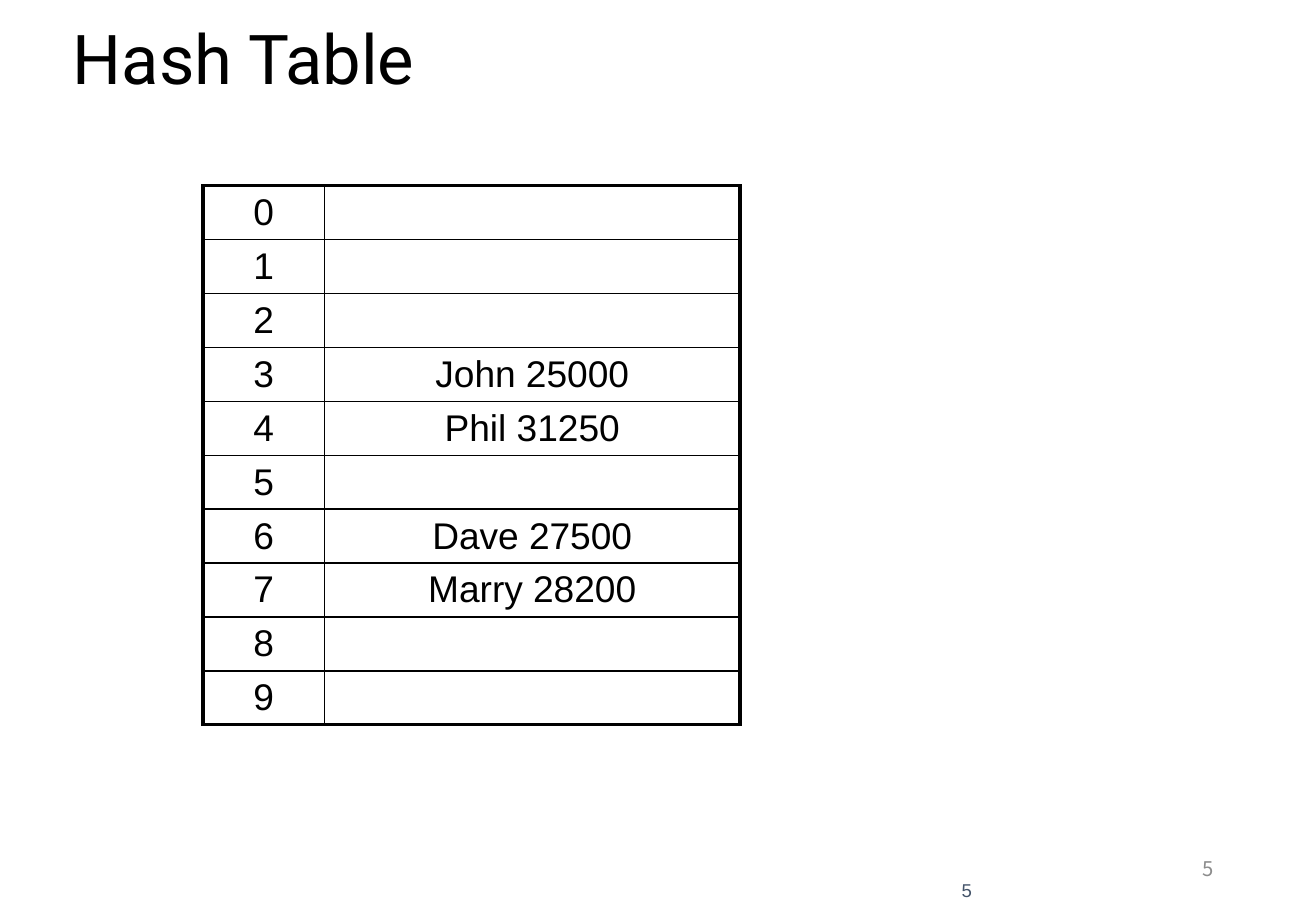
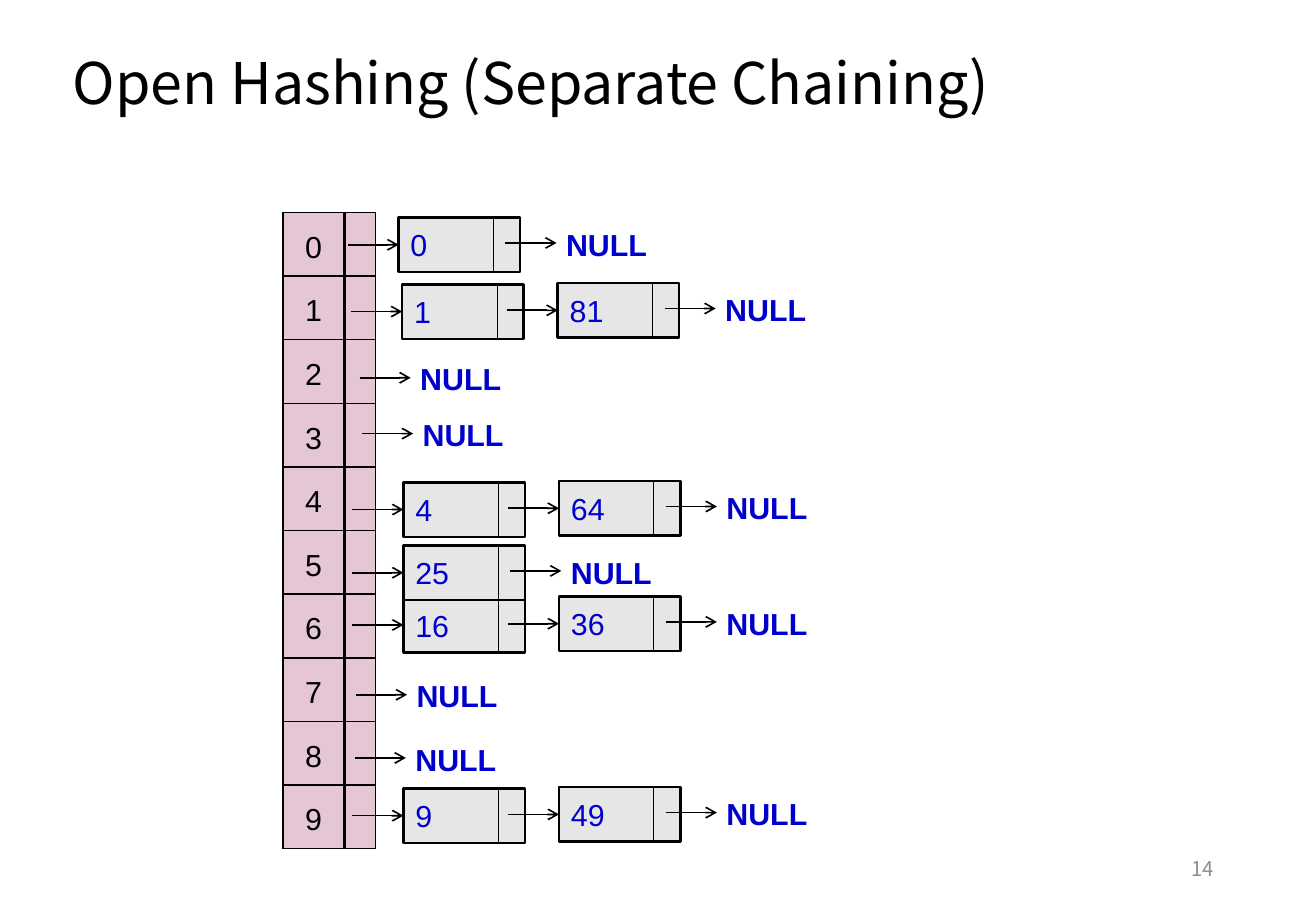
from lxml.etree import SubElement
from pptx import Presentation
from pptx.dml.color import RGBColor
from pptx.enum.shapes import MSO_CONNECTOR, MSO_SHAPE
from pptx.enum.text import MSO_ANCHOR, MSO_AUTO_SIZE, PP_ALIGN
from pptx.oxml import parse_xml
from pptx.oxml.ns import nsdecls, qn
from pptx.util import Inches, Pt

HUES = {
    "ink": "000000", "page": "FFFFFF", "gray": "8C8C8C", "slate": "44546A",
    "pink": "E5C6D5", "node": "E7E6E6", "blue": "0000CC",
}
SANS, NOTO, ROBO = "Arial", "Noto Sans CJK SC", "Roboto"

HEADS = [
    {"text": "Hash Table", "num": "5", "box": (0.5, 0.19, 7.92, 0.68),
     "font": ROBO, "size": 40.7, "lead": 0.8},
    {"text": "Open Hashing (Separate Chaining)", "num": "14",
     "box": (0.5, 0.08, 7.92, 1.25), "font": NOTO, "size": 34, "lead": 0.9},
]
STAFF = {3: "John 25000", 4: "Phil 31250", 6: "Dave 27500", 7: "Marry 28200"}
SLOTS = range(10)
CHAINS = [
    (3.28, 1.79, ["0"]),
    (3.31, 2.34, ["1", "81"]),
    (3.36, 2.92, []),
    (3.38, 3.38, []),
    (3.32, 3.97, ["4", "64"]),
    (3.32, 4.92, ["16", "36"]),
    (3.32, 4.49, ["25"]),
    (3.33, 5.53, []),
    (3.32, 6.05, []),
    (3.32, 6.49, ["9", "49"]),
]
WIDE, HIGH, STEP, REACH = 1, 0.45, 1.28, 0.42


def hue(name):
    return RGBColor.from_string(HUES[name])


def place(box):
    return [Inches(n) for n in box]


def style(para, size, name, tint, bold=False):
    font = para.font
    font.size, font.name, font.bold = Pt(size), name, bold
    font.color.rgb = hue(tint)


def label(slide, text, box, size, name, tint, align=PP_ALIGN.LEFT,
          anchor=MSO_ANCHOR.TOP, wrap=True, inset=None, bold=False):
    frame = slide.shapes.add_textbox(*place(box)).text_frame
    frame.word_wrap = wrap
    frame.vertical_anchor = anchor
    if inset is not None:
        frame.margin_left = frame.margin_right = Inches(inset)
        frame.margin_top = frame.margin_bottom = Inches(inset)
    para = frame.paragraphs[0]
    para.text, para.alignment = text, align
    style(para, size, name, tint, bold)


def start(deck, head):
    slide = deck.slides.add_slide(deck.slide_layouts[5])
    title = slide.shapes.title
    title.left, title.top, title.width, title.height = place(head["box"])
    frame = title.text_frame
    frame.auto_size, frame.word_wrap = MSO_AUTO_SIZE.NONE, True
    frame.vertical_anchor = MSO_ANCHOR.MIDDLE
    para = frame.paragraphs[0]
    para.text, para.alignment = head["text"], PP_ALIGN.LEFT
    para.line_spacing = head["lead"]
    style(para, head["size"], head["font"], "ink")
    label(slide, head["num"], (7.65, 6.95, 2.44, 0.4), 12, NOTO, "gray",
          PP_ALIGN.RIGHT, MSO_ANCHOR.MIDDLE)
    return slide


def border(cell, sides):
    props = cell._tc.get_or_add_tcPr()
    for spot, (side, width) in enumerate(sides.items()):
        props.insert(spot, parse_xml(
            f'<a:ln{side} {nsdecls("a")} w="{Pt(width)}"><a:solidFill>'
            f'<a:srgbClr val="{HUES["ink"]}"/></a:solidFill></a:ln{side}>'))


def grid(slide, rows, box, cols, fill, size, edge, pad, anchor):
    table = slide.shapes.add_table(len(rows), len(cols), *place(box)).table
    table.first_row = table.horz_banding = False
    for col, width in zip(table.columns, cols):
        col.width = Inches(width)
    for r, row in enumerate(rows):
        for c, text in enumerate(row):
            cell = table.cell(r, c)
            cell.margin_top, cell.margin_bottom = place(pad)
            cell.vertical_anchor = anchor
            cell.fill.solid()
            cell.fill.fore_color.rgb = hue(fill)
            para = cell.text_frame.paragraphs[0]
            if text:
                para.text = text
            para.alignment = PP_ALIGN.CENTER
            style(para, size, SANS, "ink")
            outer = {"L": c == 0, "R": c == len(cols) - 1,
                     "T": r == 0, "B": r == len(rows) - 1}
            border(cell, {s: edge if out else 1 for s, out in outer.items()})


def line(slide, x1, y1, x2, y2, width, arrow=False):
    wire = slide.shapes.add_connector(
        MSO_CONNECTOR.STRAIGHT, *place((x1, y1, x2, y2)))
    wire.line.color.rgb, wire.line.width = hue("ink"), Pt(width)
    if arrow:
        SubElement(wire.line._get_or_add_ln(), qn("a:tailEnd"), type="arrow")
    SubElement(wire._element.spPr, qn("a:effectLst"))
    return wire


def node(slide, text, x, y):
    box = slide.shapes.add_shape(
        MSO_SHAPE.RECTANGLE, *place((x, y, WIDE, HIGH)))
    box.shadow.inherit = False
    box.fill.solid()
    box.fill.fore_color.rgb = hue("node")
    box.line.color.rgb, box.line.width = hue("ink"), Pt(1.5)
    box.text_frame.vertical_anchor = MSO_ANCHOR.MIDDLE
    para = box.text_frame.paragraphs[0]
    para.text, para.alignment = text, PP_ALIGN.LEFT
    style(para, 18, SANS, "blue")
    line(slide, x + 0.78, y + HIGH, x + 0.78, y, 0.5)
    return box


def chain(slide, x, y, keys):
    for key in keys:
        box = node(slide, key, x, y)
        mid = y + HIGH / 2
        wire = line(slide, x - REACH, mid, x, mid, 1, True)
        wire.end_connect(box, 1)
        x, y = x + STEP, y - 0.01
    if keys:
        y += 0.03
    line(slide, x - 0.4, y + 0.19, x + 0.02, y + 0.19, 1, True)
    label(slide, "NULL", (x, y, 0.87, 0.4), 18, SANS, "blue",
          wrap=False, bold=True)


def main():
    deck = Presentation()
    deck.slide_width, deck.slide_height = Inches(10.83), Inches(7.5)
    first, second = [start(deck, head) for head in HEADS]

    label(first, "5", (7.36, 7.17, 0.64, 0.25), 11, SANS, "slate",
          PP_ALIGN.RIGHT, MSO_ANCHOR.BOTTOM, inset=0)
    grid(first, [(str(n), STAFF.get(n, "")) for n in SLOTS],
         (1.67, 1.53, 4.42, 4.44), (1, 3.42), "page", 22, 2.25,
         (0.03, 0.03), MSO_ANCHOR.MIDDLE)

    for left, width, texts in [(2.33, 0.5, [str(n) for n in SLOTS]),
                               (2.84, 0.25, [""] * len(SLOTS))]:
        grid(second, [(text,) for text in texts], (left, 1.75, width, 5.24),
             (width,), "pink", 18, 1, (0.15, 0.05), MSO_ANCHOR.TOP)
    for x, y, keys in CHAINS:
        chain(second, x, y, keys)

    deck.save("out.pptx")


if __name__ == "__main__":
    main()
